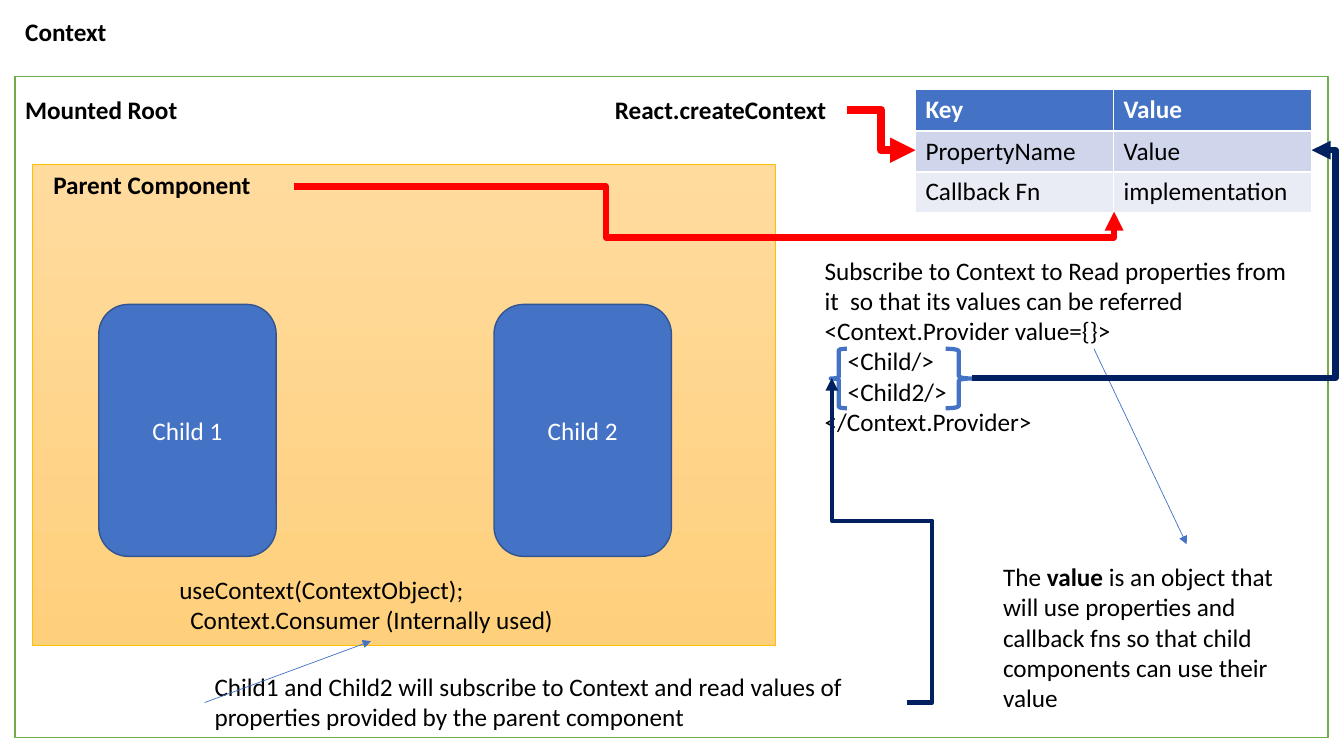
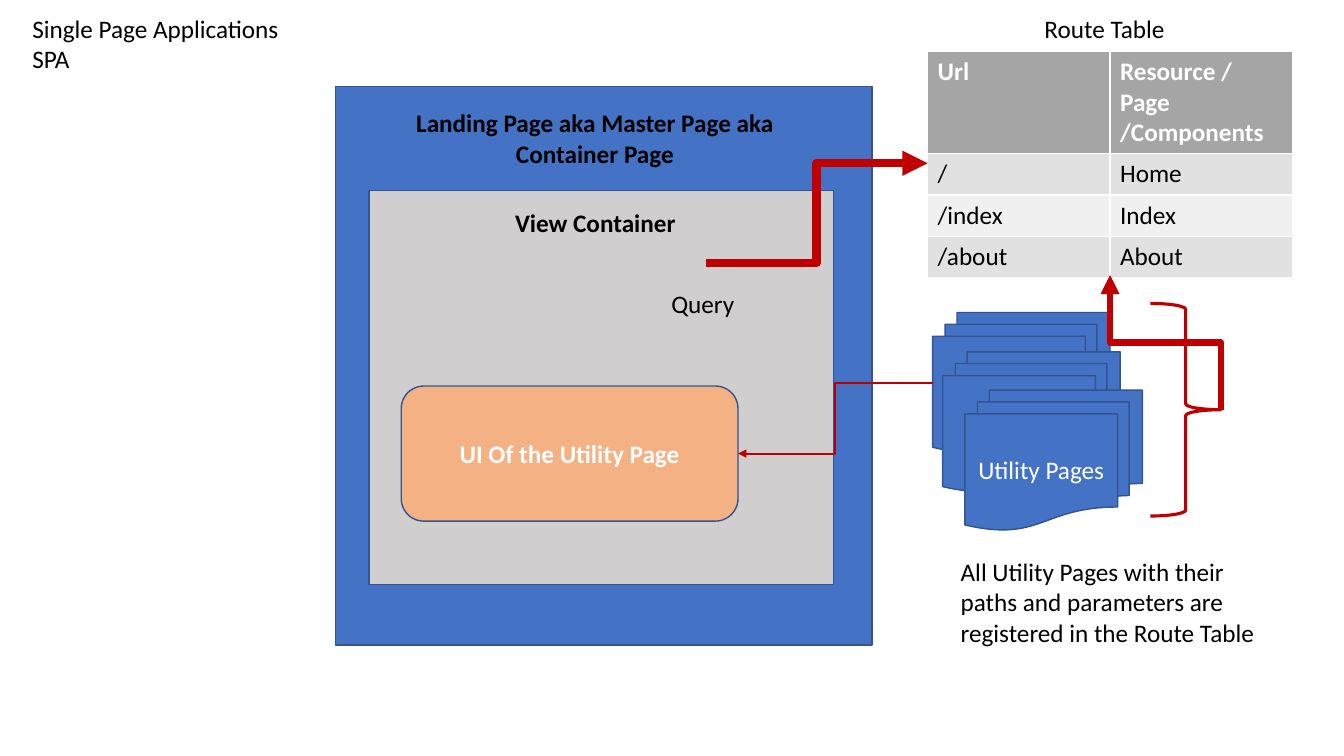
"""Builds two diagram slides: component context and single page applications."""
from dataclasses import dataclass, field

from lxml import etree
from pptx import Presentation
from pptx.dml.color import RGBColor
from pptx.enum.shapes import MSO_CONNECTOR, MSO_SHAPE
from pptx.enum.text import MSO_ANCHOR, MSO_AUTO_SIZE, PP_ALIGN
from pptx.oxml.ns import qn
from pptx.util import Inches, Pt

RECT, ROUNDED = MSO_SHAPE.RECTANGLE, MSO_SHAPE.ROUNDED_RECTANGLE
DOCS = MSO_SHAPE.FLOWCHART_MULTIDOCUMENT
LEFT_BRACE, RIGHT_BRACE = MSO_SHAPE.LEFT_BRACE, MSO_SHAPE.RIGHT_BRACE
STRAIGHT, ELBOW = MSO_CONNECTOR.STRAIGHT, MSO_CONNECTOR.ELBOW
LEFT, CENTER = PP_ALIGN.LEFT, PP_ALIGN.CENTER
TOP, MIDDLE = MSO_ANCHOR.TOP, MSO_ANCHOR.MIDDLE
TITLE_ONLY = 5


@dataclass(frozen=True)
class Theme:
    """Colours and type shared by the slides."""
    font: str = "Calibri"
    size: float = 18
    black: str = "000000"
    white: str = "FFFFFF"
    blue: str = "4472C4"
    blue_edge: str = "325491"
    green: str = "70AD47"
    gold: str = "FFC000"
    gold_fade: tuple = ("FFDB9E", "FFD07C")
    orange: str = "F4B183"
    grey: str = "D0CECE"
    red: str = "FF0000"
    dark_red: str = "C00000"
    navy: str = "002060"
    blue_table: tuple = ("4472C4", "CFD5EA", "E9EBF5")
    grey_table: tuple = ("A5A5A5", "E1E1E1", "F0F0F0")


T = Theme()


@dataclass(frozen=True)
class Box:
    """A preset shape; fill is a colour, a pair for a gradient, or None."""
    at: tuple
    kind: int = RECT
    fill: str | tuple | None = T.blue
    line: str = T.blue_edge
    width: float = 1
    text: str = ""
    bold: bool = False


@dataclass(frozen=True)
class Label:
    """A free text; indents maps a paragraph number to inches."""
    at: tuple
    text: str
    bold: bool = False
    align: int = LEFT
    indents: dict = field(default_factory=dict)


@dataclass(frozen=True)
class Grid:
    """A table with a header and banded rows."""
    at: tuple
    rows: tuple
    fills: tuple
    header: float
    row: float


@dataclass(frozen=True)
class Arrow:
    """A connector; bends are the adjustments of its elbow, if any."""
    start: tuple
    end: tuple
    color: str
    width: float
    bends: tuple = ()
    upright: bool = False


def rgb(color: str) -> RGBColor:
    """Turn a hex string into a colour."""
    return RGBColor.from_string(color)


def write(tf, text: str, *, color: str = T.black, bold: bool = False,
          align: int = LEFT, anchor: int = TOP, indents: dict | None = None) -> None:
    """Write lines into a text frame; ** switches bold on and off."""
    tf.word_wrap, tf.auto_size, tf.vertical_anchor = True, MSO_AUTO_SIZE.NONE, anchor
    for n, line in enumerate(text.split("\n")):
        p = tf.add_paragraph() if n else tf.paragraphs[0]
        p.alignment = align
        if indents and n in indents:
            p._p.get_or_add_pPr().set("marL", str(Inches(indents[n])))
        for i, part in enumerate(line.split("**")):
            r = p.add_run()
            r.text = part
            r.font.name, r.font.size = T.font, Pt(T.size)
            r.font.bold = bold or i % 2 == 1
            r.font.color.rgb = rgb(color)


def add_title(s, at: tuple, text: str, bold: bool = False) -> None:
    """Place and fill the slide title."""
    sp = s.shapes.title
    sp.left, sp.top, sp.width, sp.height = map(Inches, at)
    write(sp.text_frame, text, bold=bold)


def add_box(s, box: Box) -> None:
    """Draw a preset shape."""
    sp = s.shapes.add_shape(box.kind, *map(Inches, box.at))
    sp.shadow.inherit = False
    if box.fill is None:
        sp.fill.background()
    elif isinstance(box.fill, tuple):
        sp.fill.gradient()
        sp.fill.gradient_angle = 270
        for stop, color in zip(sp.fill.gradient_stops, box.fill):
            stop.color.rgb = rgb(color)
    else:
        sp.fill.solid()
        sp.fill.fore_color.rgb = rgb(box.fill)
    sp.line.color.rgb = rgb(box.line)
    sp.line.width = Pt(box.width)
    if box.text:
        write(sp.text_frame, box.text, color=T.white, bold=box.bold,
              align=CENTER, anchor=MIDDLE)


def add_label(s, label: Label) -> None:
    """Draw a text box."""
    sp = s.shapes.add_textbox(*map(Inches, label.at))
    write(sp.text_frame, label.text, bold=label.bold, align=label.align,
          indents=label.indents)


def add_grid(s, grid: Grid) -> None:
    """Draw a table."""
    left, top, width = grid.at
    height = grid.header + grid.row * (len(grid.rows) - 1)
    table = s.shapes.add_table(len(grid.rows), len(grid.rows[0]),
                               *map(Inches, (left, top, width, height))).table
    header, *bands = grid.fills
    for n, texts in enumerate(grid.rows):
        table.rows[n].height = Inches(grid.row if n else grid.header)
        for cell, text in zip(table.rows[n].cells, texts):
            cell.fill.solid()
            cell.fill.fore_color.rgb = rgb(bands[(n - 1) % 2] if n else header)
            write(cell.text_frame, text, bold=n == 0, color=T.black if n else T.white)


def add_arrow(s, arrow: Arrow) -> None:
    """Draw a straight or elbow connector with an arrowhead at its end."""
    (x1, y1), (x2, y2) = arrow.start, arrow.end
    if arrow.upright:
        cx, cy, dx, dy = (x1 + x2) / 2, (y1 + y2) / 2, (x1 - x2) / 2, (y1 - y2) / 2
        x1, y1, x2, y2 = cx - dy, cy + dx, cx + dy, cy - dx
    kind = ELBOW if arrow.bends else STRAIGHT
    cxn = s.shapes.add_connector(kind, *map(Inches, (x1, y1, x2, y2)))
    cxn.line.color.rgb = rgb(arrow.color)
    cxn.line.width = Pt(arrow.width)
    sp_pr = cxn._element.spPr
    if arrow.upright:
        sp_pr.find(qn("a:xfrm")).set("rot", str(270 * 60000))
    if arrow.bends:
        geom = sp_pr.find(qn("a:prstGeom"))
        geom.set("prst", f"bentConnector{len(arrow.bends) + 2}")
        guides = geom.find(qn("a:avLst"))
        if guides is None:
            guides = etree.SubElement(geom, qn("a:avLst"))
        for n, bend in enumerate(arrow.bends, 1):
            etree.SubElement(guides, qn("a:gd"), name=f"adj{n}",
                             fmla=f"val {round(bend * 100000)}")
    etree.SubElement(sp_pr.find(qn("a:ln")), qn("a:tailEnd"), type="triangle")
    etree.SubElement(sp_pr, qn("a:effectLst"))


def draw(s, boxes: list, labels: list, grid: Grid, arrows: list) -> None:
    """Draw the parts of a diagram from back to front."""
    for box in boxes:
        add_box(s, box)
    for label in labels:
        add_label(s, label)
    add_grid(s, grid)
    for arrow in arrows:
        add_arrow(s, arrow)


def context_slide(s) -> None:
    """Show how components share a context."""
    add_title(s, (0.15, 0.11, 2.59, 0.4), "Context", bold=True)
    boxes = [
        Box((0.15, 0.76, 13.02, 6.56), fill=T.white, line=T.green),
        Box((0.32, 1.63, 7.37, 4.77), fill=T.gold_fade, line=T.gold, width=0.5),
        *(Box((0.98 + 3.92 * n, 3.02, 1.76, 2.5), ROUNDED, text=f"Child {n + 1}")
          for n in range(2)),
        Box((9.38, 3.46, 0.26, 0.59), RIGHT_BRACE, None, T.blue, 3),
        Box((8.24, 3.46, 0.16, 0.59), LEFT_BRACE, None, T.blue, 3),
    ]
    labels = [
        Label((0.15, 0.89, 2.59, 0.4), "Mounted Root", bold=True),
        Label((0.43, 1.63, 2.49, 0.4), "Parent Component", bold=True),
        Label((6, 0.89, 2.4, 0.4), "React.createContext", bold=True),
        Label((8.08, 2.48, 4.93, 1.92),
              "Subscribe to Context to Read properties from it  so that its values "
              "can be referred\n<Context.Provider value={}>\n<Child/>\n<Child2/>\n"
              "</Context.Provider>", indents={2: 0.23, 3: 0.23}),
        Label((9.85, 5.52, 3.07, 1.62),
              "The **value **is an object that will use properties and callback fns "
              "so that child components can use their value"),
        Label((2.03, 6.61, 6.97, 0.71),
              "Child1 and Child2 will subscribe to Context and read values of "
              "properties provided by the parent component"),
        Label((1.68, 5.65, 4, 0.71),
              "useContext(ContextObject);\nContext.Consumer (Internally used)",
              indents={1: 0.11}),
    ]
    grid = Grid((9.08, 0.89, 3.93), (("Key", "Value"), ("PropertyName", "Value"),
                                     ("Callback Fn", "implementation")),
                T.blue_table, header=0.41, row=0.4)
    arrows = [
        Arrow((8.4, 1.09), (9.08, 1.49), T.red, 6, (0.5,)),
        Arrow((2.92, 1.85), (11.05, 2.1), T.red, 4.5, (0.38, 2.02)),
        Arrow((10.85, 3.46), (11.77, 5.4), T.blue, 0.5),
        Arrow((9.64, 3.75), (13.01, 1.49), T.navy, 4.5, (1.07,)),
        Arrow((9, 6.97), (8.25, 3.75), T.navy, 3, (-0.33, 0.56)),
        Arrow((2.03, 6.97), (3.68, 6.36), T.blue, 0.5),
    ]
    draw(s, boxes, labels, grid, arrows)


def spa_slide(s) -> None:
    """Show how a route table feeds a single page application."""
    add_title(s, (0.22, 0.08, 2.78, 0.71), "Single Page Applications SPA")
    boxes = [
        Box((3.33, 0.86, 5.32, 5.54)),
        *(Box((x, y, 1.76, 1.39), DOCS, text=text) for x, y, text in
          ((9.25, 3.1, ""), (9.35, 3.49, ""), (9.57, 3.87, "Utility Pages"))),
        Box((3.66, 1.89, 4.61, 3.91), fill=T.grey),
        Box((3.98, 3.83, 3.34, 1.34), ROUNDED, T.orange,
            text="UI Of the Utility Page", bold=True),
        Box((11.41, 3.01, 0.7, 2.11), RIGHT_BRACE, None, T.dark_red, 2.25),
    ]
    labels = [
        Label((3.54, 1.02, 4.72, 0.71),
              "Landing Page aka Master Page aka Container Page", True, CENTER),
        Label((3.74, 2.01, 4.33, 0.4), "View Container", True, CENTER),
        Label((9.09, 0.08, 3.73, 0.4), "Route Table", align=CENTER),
        Label((6.56, 2.81, 1.54, 0.4), "Query"),
        Label((9.43, 5.47, 3.23, 1.01),
              "All Utility Pages with their paths and parameters are registered "
              "in the Route Table"),
    ]
    grid = Grid((9.2, 0.51, 3.62), (("Url", "Resource / Page /Components"), ("/", "Home"),
                                    ("/index", "Index"), ("/about", "About")),
                T.grey_table, header=1, row=0.41)
    arrows = [
        Arrow((7, 2.61), (9.2, 1.62), T.dark_red, 6, (0.5,)),
        Arrow((12.11, 4.07), (11.01, 2.73), T.dark_red, 4.5, (0.5,), upright=True),
        Arrow((9.25, 3.8), (7.32, 4.5), T.dark_red, 1.5, (0.5,)),
    ]
    draw(s, boxes, labels, grid, arrows)


def main() -> None:
    """Build and save the presentation."""
    prs = Presentation()
    prs.slide_width, prs.slide_height = Inches(13.33), Inches(7.5)
    for build in (context_slide, spa_slide):
        build(prs.slides.add_slide(prs.slide_layouts[TITLE_ONLY]))
    prs.save("out.pptx")


if __name__ == "__main__":
    main()
